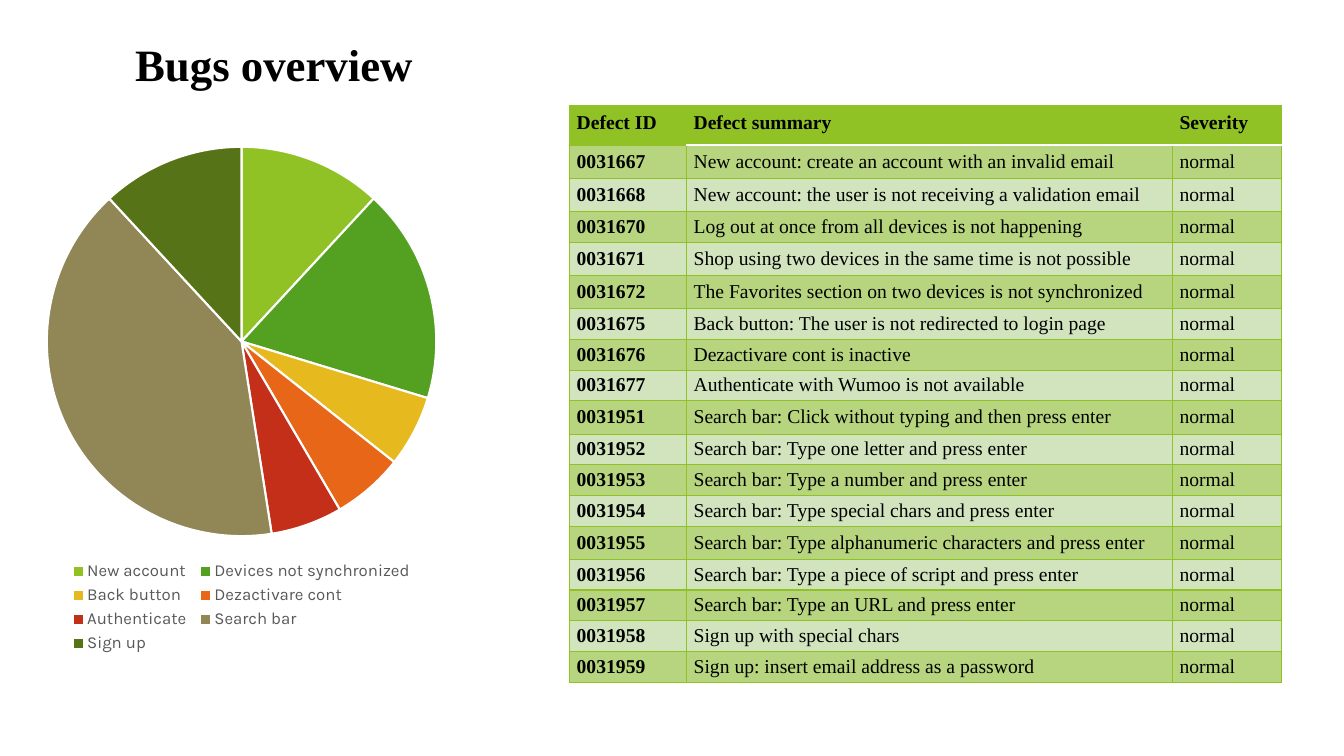
import pptx
import pptx.util
import pptx.chart.data
import pptx.dml.color
import pptx.enum.chart
import pptx.enum.text
import pptx.oxml
import pptx.oxml.ns

Inches, Pt = pptx.util.Inches, pptx.util.Pt
RGB = pptx.dml.color.RGBColor.from_string
COLORS = {"text": "000000", "legend": "595959", "white": "FFFFFF",
          "green": "90C226", "dark band": "B7D57F", "light band": "D2E4BE"}
SERIF, SANS = "Times New Roman", "Karla"

BUG_AREAS = [("New account", 12, "90C226"), ("Devices not synchronized", 18, "54A021"),
             ("Back button", 6, "E6B91E"), ("Dezactivare cont", 6, "E76618"),
             ("Authenticate", 6, "C42F1A"), ("Search bar", 41, "918655"),
             ("Sign up", 12, "567417")]
HEADINGS = ("Defect ID", "Defect summary", "Severity")
DEFECTS = [
    ("0031667", "New account: create an account with an invalid email"),
    ("0031668", "New account: the user is not receiving a validation email"),
    ("0031670", "Log out at once from all devices is not happening"),
    ("0031671", "Shop using two devices in the same time is not possible"),
    ("0031672", "The Favorites section on two devices is not synchronized"),
    ("0031675", "Back button: The user is not redirected to login page"),
    ("0031676", "Dezactivare cont is inactive"),
    ("0031677", "Authenticate with Wumoo is not available"),
    ("0031951", "Search bar: Click without typing and then press enter"),
    ("0031952", "Search bar: Type one letter and press enter"),
    ("0031953", "Search bar: Type a number and press enter"),
    ("0031954", "Search bar: Type special chars and press enter"),
    ("0031955", "Search bar: Type alphanumeric characters and press enter"),
    ("0031956", "Search bar: Type a piece of script and press enter"),
    ("0031957", "Search bar: Type an URL and press enter"),
    ("0031958", "Sign up with special chars"),
    ("0031959", "Sign up: insert email address as a password"),
]


def add_text(paragraph, text, size, bold):
    run = paragraph.add_run()
    run.text = text
    run.font.name, run.font.size, run.font.bold = SERIF, Pt(size), bold
    run.font.color.rgb = RGB(COLORS["text"])


def set_layout(element, x, y, width, height, inner=False):
    """Place a chart part by shares of the chart's size."""
    for old in element.findall(pptx.oxml.ns.qn("c:layout")):
        element.remove(old)
    target = '<c:layoutTarget val="inner"/>' if inner else ""
    layout = pptx.oxml.parse_xml(
        f'<c:layout {pptx.oxml.ns.nsdecls("c")}><c:manualLayout>{target}'
        '<c:xMode val="edge"/><c:yMode val="edge"/>'
        f'<c:x val="{x}"/><c:y val="{y}"/><c:w val="{width}"/><c:h val="{height}"/>'
        '</c:manualLayout></c:layout>')
    element.insert(0 if inner else 1, layout)


presentation = pptx.Presentation()
presentation.slide_width, presentation.slide_height = Inches(13.33), Inches(7.5)
slide = presentation.slides.add_slide(presentation.slide_layouts[6])

# Title
title = slide.shapes.add_textbox(Inches(0.74), Inches(0.16), Inches(9.4), Inches(0.79))
title.text_frame.word_wrap = True
title.text_frame.margin_left = Inches(0.6)
title.text_frame.vertical_anchor = pptx.enum.text.MSO_ANCHOR.BOTTOM
add_text(title.text_frame.paragraphs[0], "Bugs overview", 32, True)

# Defect table: rows with long summaries are taller, the rest share what is left
TABLE_HEIGHT, HEADER_HEIGHT, TALL_HEIGHT = 5.72, 0.39, 0.33
tall_rows = {1, 2, 4, 5, 9, 13}
short_height = ((TABLE_HEIGHT - HEADER_HEIGHT - len(tall_rows) * TALL_HEIGHT)
                / (len(DEFECTS) - len(tall_rows)))
rows = [HEADINGS] + [(*defect, "normal") for defect in DEFECTS]
table = slide.shapes.add_table(len(rows), len(HEADINGS), Inches(5.65), Inches(1.05),
                               Inches(7.06), Inches(TABLE_HEIGHT)).table
for column, width in zip(table.columns, (1.16, 4.82, 1.08)):
    column.width = Inches(width)

for row_index, values in enumerate(rows):
    header = row_index == 0
    height = HEADER_HEIGHT if header else TALL_HEIGHT if row_index in tall_rows else short_height
    table.rows[row_index].height = Inches(height)
    band = "green" if header else "dark band" if row_index % 2 else "light band"
    for column_index, value in enumerate(values):
        cell = table.cell(row_index, column_index)
        cell.margin_left = cell.margin_right = Inches(0.07)
        cell.margin_top = cell.margin_bottom = 0
        cell.vertical_anchor = pptx.enum.text.MSO_ANCHOR.MIDDLE
        paragraph = cell.text_frame.paragraphs[0]
        paragraph.line_spacing = Pt(12 if header else 15)
        paragraph.space_before = Pt(10)
        paragraph.space_after = Pt(6 if header else 0)
        add_text(paragraph, value, 14, header or column_index == 0)

        # Green grid, with a white rule under the last two headings
        borders = dict.fromkeys(("lnL", "lnR", "lnT", "lnB"), ("green", 1))
        if column_index and row_index < 2:
            borders["lnB" if header else "lnT"] = ("white", 1.5)
        for side, (color, width) in borders.items():
            cell._tc.get_or_add_tcPr().append(pptx.oxml.parse_xml(
                f'<a:{side} {pptx.oxml.ns.nsdecls("a")} w="{Pt(width)}"><a:solidFill>'
                f'<a:srgbClr val="{COLORS[color]}"/></a:solidFill></a:{side}>'))
        cell.fill.solid()
        cell.fill.fore_color.rgb = RGB(COLORS[band])

# Pie of bugs by area
chart_data = pptx.chart.data.CategoryChartData()
chart_data.categories = [area for area, count, color in BUG_AREAS]
chart_data.add_series("Series 1", [count for area, count, color in BUG_AREAS])
chart = slide.shapes.add_chart(pptx.enum.chart.XL_CHART_TYPE.PIE, Inches(-0.71), Inches(1.3),
                               Inches(6.15), Inches(5.22), chart_data).chart
chart.has_title = False
chart.font.name, chart.font.size = SANS, Pt(10)
chart.font.color.rgb = RGB(COLORS["text"])
chart.plots[0].vary_by_categories = True
for index, (area, count, color) in enumerate(BUG_AREAS):
    slice_format = chart.plots[0].series[0].points[index].format
    slice_format.fill.solid()
    slice_format.fill.fore_color.rgb = RGB(color)
    slice_format.line.color.rgb = RGB(COLORS["white"])
    slice_format.line.width = Pt(1.5)

chart.has_legend = True
legend = chart.legend
legend.position = pptx.enum.chart.XL_LEGEND_POSITION.BOTTOM
legend.include_in_layout = False
legend.font.name, legend.font.size = SANS, Pt(12)
legend.font.color.rgb = RGB(COLORS["legend"])
set_layout(chart._chartSpace.chart.plotArea, 0.19, 0.03, 0.63, 0.74, inner=True)
set_layout(legend._element, 0.22, 0.81, 0.57, 0.19)

presentation.save("out.pptx")
